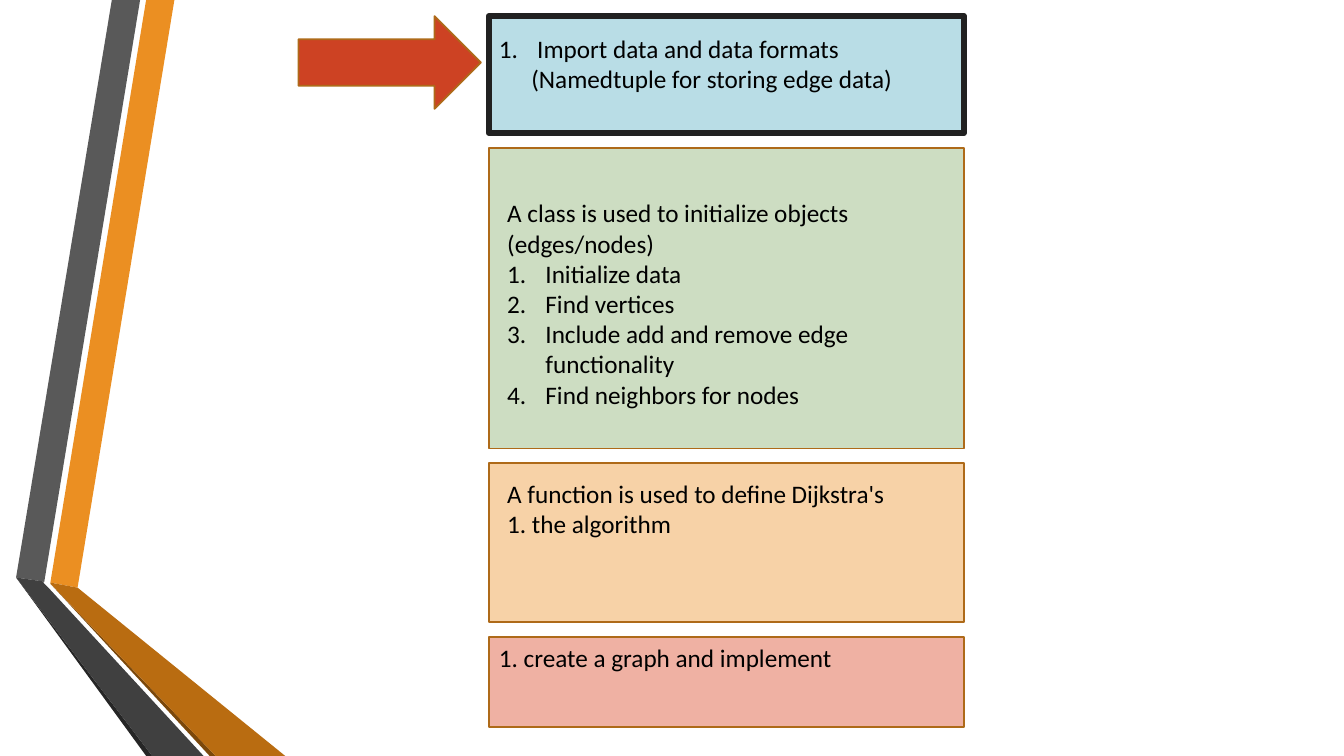
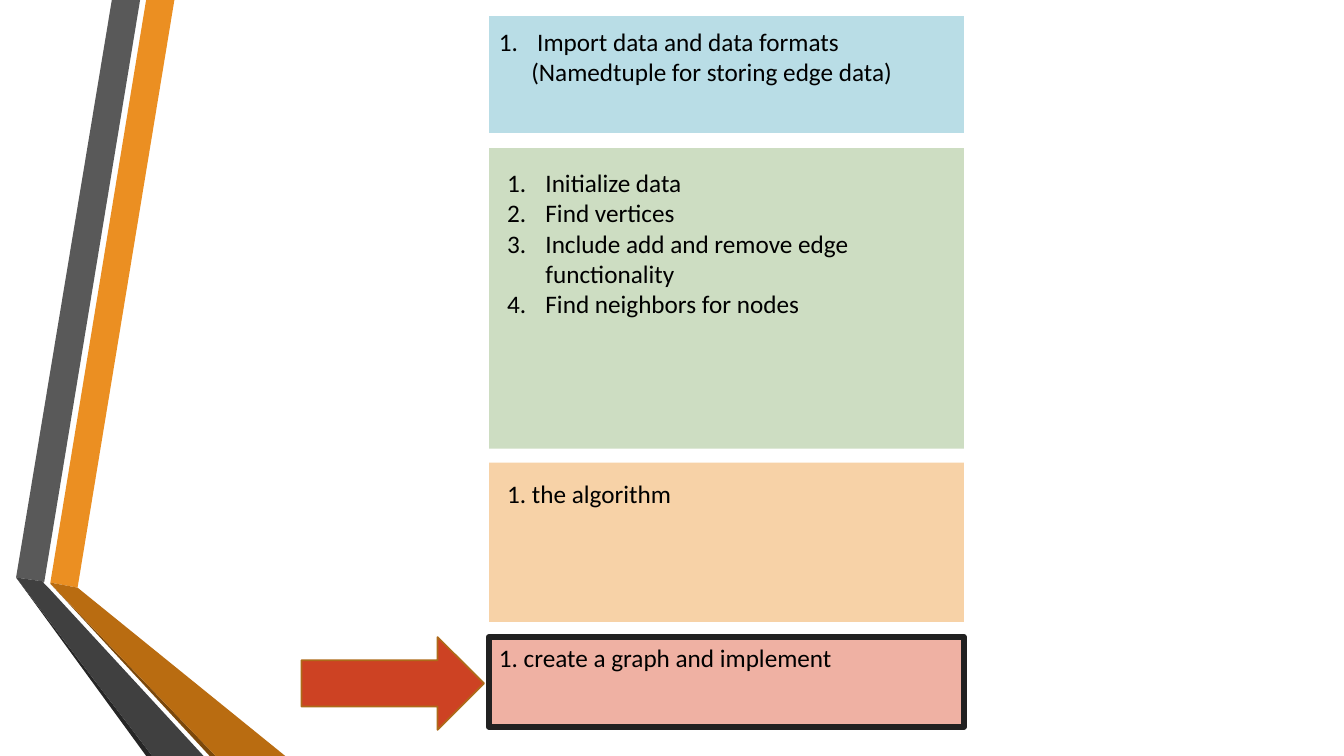
from pptx import Presentation
from pptx.dml.color import RGBColor
from pptx.enum.shapes import MSO_SHAPE
from pptx.enum.text import MSO_ANCHOR, PP_ALIGN
from pptx.oxml.ns import qn
from pptx.util import Pt
from lxml import etree

RECT = MSO_SHAPE.RECTANGLE
ARROW = MSO_SHAPE.RIGHT_ARROW
TOP = MSO_ANCHOR.TOP
LEFT, MID = PP_ALIGN.LEFT, PP_ALIGN.CENTER
PX = 9144
PLAIN, NUM, CENTER = "plain", "number", "center"

BANDS = [
    ("EB8F22", [(50, 578), (77, 583), (173, 0), (145, 0)]),
    ("595959", [(139, 0), (111, 0), (16, 573), (44, 577)]),
    ("262626", [(16, 573), (145, 750), (151, 750)]),
    ("7B480B", [(50, 579), (208, 750), (214, 750)]),
    ("B96C11", [(50, 578), (50, 579), (214, 750), (283, 750), (77, 583)]),
    ("404040", [(202, 750), (48, 583), (43, 578), (44, 577), (16, 573),
                (151, 750)]),
]
BOXES = [
    (16, 116, "B9DDE6", 10, 39),
    (147, 298, "CDDDC2", 18, 11),
    (459, 158, "F7D2A7", 18, 20),
    (632, 89, "EFB1A3", 10, 10),
]
LOAD = [(NUM, "Import data and data formats"),
        (CENTER, "(Namedtuple for storing edge data)")]
STEPS = [(NUM, "Initialize data"),
         (NUM, "Find vertices"),
         (NUM, "Include add and remove edge functionality"),
         (NUM, "Find neighbors for nodes")]
CLASS = (PLAIN, "A class is used to initialize objects (edges/nodes)")
FUNC = (PLAIN, "A function is used to define Dijkstra's")
ALGO = [(PLAIN, "1. the algorithm")]
GRAPH = [(PLAIN, "1. create a graph and implement")]


def color(code):
    """Turn a hex string into a colour."""
    return RGBColor.from_string(code)


class Deck:
    """Hold the style and the current slide."""

    font, size, ink = "Calibri", 18, "000000"
    edge, mark, point = ("AE6A19", 1.25), ("212121", 4.5), "CD4223"
    left, width, indent = 485, 471, 38

    def __init__(self):
        """Start an empty deck."""
        self.prs = Presentation()
        self.prs.slide_width = 1333 * PX
        self.prs.slide_height = 750 * PX
        self.slide = None

    def page(self):
        """Add a slide with the folded bands."""
        self.slide = self.prs.slides.add_slide(self.prs.slide_layouts[6])
        for fill, points in BANDS:
            self.band(fill, points)

    def paint(self, shape, fill, line=None):
        """Set the fill and the outline of a shape."""
        shape.shadow.inherit = False
        shape.fill.solid()
        shape.fill.fore_color.rgb = color(fill)
        if line:
            shape.line.color.rgb = color(line[0])
            shape.line.width = Pt(line[1])
        else:
            shape.line.fill.background()

    def band(self, fill, points):
        """Draw one closed outline."""
        pen = self.slide.shapes.build_freeform(*points[0], scale=PX)
        pen.add_line_segments(points[1:], close=True)
        self.paint(pen.convert_to_shape(), fill)

    def shape(self, kind, x, y, w, h, fill, line):
        """Draw one preset shape."""
        item = self.slide.shapes.add_shape(
            kind, x * PX, y * PX, w * PX, h * PX)
        self.paint(item, fill, line)
        return item

    def number(self, para):
        """Give a paragraph an automatic number."""
        props = para._p.get_or_add_pPr()
        props.set("marL", str(self.indent * PX))
        props.set("indent", str(-self.indent * PX))
        etree.SubElement(props, qn("a:buAutoNum"), type="arabicPeriod")

    def label(self, item, lines, inset):
        """Fill a shape with styled paragraphs."""
        frame = item.text_frame
        frame.word_wrap = True
        frame.vertical_anchor = TOP
        frame.margin_left, frame.margin_top, frame.margin_right = (
            gap * PX for gap in inset)
        frame.text = "\n".join(text for _, text in lines)
        for para, (kind, _) in zip(frame.paragraphs, lines):
            para.alignment = MID if kind == CENTER else LEFT
            if kind == NUM:
                self.number(para)
            for run in para.runs:
                run.font.name = self.font
                run.font.size = Pt(self.size)
                run.font.color.rgb = color(self.ink)

    def stack(self, texts, tops, active, edge=None):
        """Draw the four boxes and mark the active one."""
        for i, (y, h, fill, left, right) in enumerate(BOXES):
            line = self.mark if i == active else edge
            box = self.shape(RECT, self.left, y, self.width, h, fill, line)
            self.label(box, texts[i], (left, tops[i], right))

    def arrow(self, x, y):
        """Draw the arrow that points at the active box."""
        self.shape(ARROW, x, y, 181, 92, self.point, self.edge)


def main():
    """Build and save the deck."""
    deck = Deck()
    deck.page()
    deck.stack([LOAD, [CLASS] + STEPS, [FUNC] + ALGO, GRAPH],
               (17, 49, 15, 5), 0, deck.edge)
    deck.arrow(296, 16)
    deck.page()
    deck.stack([LOAD, STEPS, ALGO, GRAPH], (10, 19, 15, 5), 3)
    deck.arrow(299, 632)
    deck.prs.save("out.pptx")


if __name__ == "__main__":
    main()
